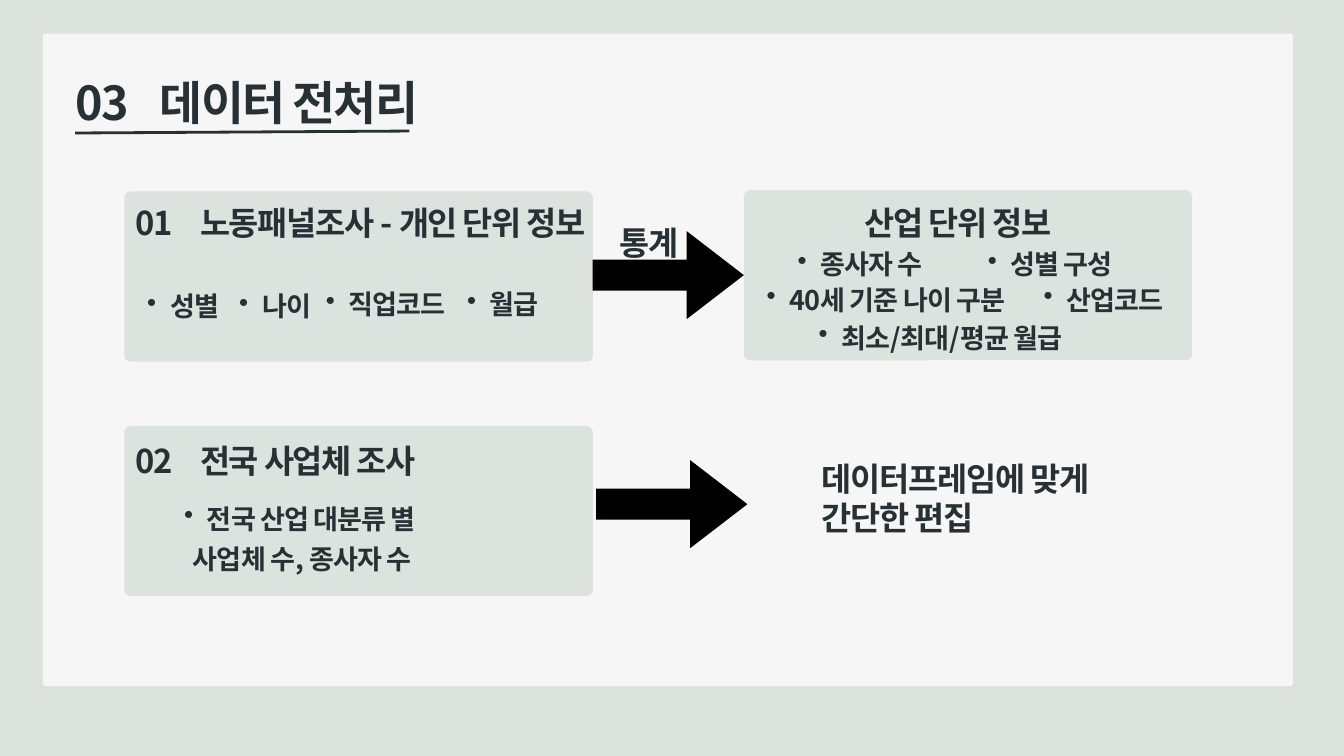
from lxml import etree
from pptx import Presentation
from pptx.dml.color import RGBColor
from pptx.enum import shapes, text
from pptx.oxml import ns
from pptx.util import Pt

COLORS = {"sage": "DCE2DE", "paper": "F6F6F6", "ink": "263035", "arrow": "000000"}
FONT = "Noto Sans CJK KR"
STYLES = {"title": (50, 59.5, -180), "heading": (35.1, 41.7, -130), "item": (29, 43.5, -100)}
BULLET_INDENT = 24.5

deck = Presentation()
deck.slide_width, deck.slide_height = Pt(1440), Pt(810)
slide = deck.slides.add_slide(deck.slide_layouts[6])
slide.background.fill.solid()
slide.background.fill.fore_color.rgb = RGBColor.from_string(COLORS["sage"])


def add_block(preset, left, top, width, height, color, adjustments):
    block = slide.shapes.add_shape(preset, Pt(left), Pt(top), Pt(width), Pt(height))
    block.shadow.inherit = False
    block.fill.solid()
    block.fill.fore_color.rgb = RGBColor.from_string(COLORS[color])
    block.line.fill.background()
    for index, value in enumerate(adjustments):
        block.adjustments[index] = value


def add_text(left, top, width, height, style, lines, bullet=False, tab=None, indent=0):
    size, spacing, tracking = STYLES[style]
    frame = slide.shapes.add_textbox(Pt(left), Pt(top), Pt(width), Pt(height)).text_frame
    frame.word_wrap = True
    frame.auto_size = text.MSO_AUTO_SIZE.SHAPE_TO_FIT_TEXT
    frame.margin_left = frame.margin_top = frame.margin_right = frame.margin_bottom = 0
    for index, line in enumerate(lines):
        paragraph = frame.paragraphs[0] if index == 0 else frame.add_paragraph()
        paragraph.text = line
        paragraph.line_spacing = Pt(spacing)
        properties = paragraph._p.get_or_add_pPr()
        if bullet and index == 0:
            paragraph.level = 1
            properties.set("marL", str(Pt(2 * BULLET_INDENT)))
            properties.set("indent", str(-Pt(BULLET_INDENT)))
            etree.SubElement(properties, ns.qn("a:buChar"), char="•")
        elif indent:
            properties.set("marL", str(Pt(indent)))
            properties.set("indent", "0")
        if tab:
            stops = etree.SubElement(properties, ns.qn("a:tabLst"))
            etree.SubElement(stops, ns.qn("a:tab"), pos=str(Pt(tab)), algn="l")
        font = paragraph.font
        font.name, font.size, font.bold = FONT, Pt(size), True
        font.color.rgb = RGBColor.from_string(COLORS["ink"])
        defaults = properties.find(ns.qn("a:defRPr"))
        defaults.set("spc", str(tracking))
        east_asian = etree.Element(ns.qn("a:ea"), typeface=FONT)
        defaults.find(ns.qn("a:latin")).addnext(east_asian)


rounded = shapes.MSO_SHAPE.ROUNDED_RECTANGLE
add_block(rounded, 46, 36, 1339.2, 699, "paper", [0.004])
for left, top, width in [(133.2, 205.2, 502), (797, 203.8, 480.4), (133.2, 456.5, 502)]:
    add_block(rounded, left, top, width, 182.2, "sage", [0.036])
for left, top in [(635, 247.6), (638.8, 493)]:
    add_block(shapes.MSO_SHAPE.RIGHT_ARROW, left, top, 162, 94.4, "arrow", [0.35, 0.65])

underline = slide.shapes.add_connector(
    shapes.MSO_CONNECTOR.STRAIGHT, Pt(438.5), Pt(140.4), Pt(80.6), Pt(142.5))
underline.line.width = Pt(3)
underline.line.color.rgb = RGBColor.from_string(COLORS["ink"])
etree.SubElement(underline._element.spPr, ns.qn("a:effectLst"))

add_text(80.6, 79.2, 652.3, 61.2, "title", ["03\t데이터 전처리"], tab=90.7)
for top, heading in [(218.2, "01\t노동패널조사 - 개인 단위 정보"), (472.3, "02\t전국 사업체 조사")]:
    add_text(145.4, top, 528.5, 43.2, "heading", [heading], tab=69)
for left, top, width, height, heading in [
    (663.8, 239, 76.3, 43.2, "통계"),
    (926.6, 218.2, 221, 43.2, "산업 단위 정보"),
    (880.6, 491.8, 314, 84.2, "데이터프레임에 맞게 간단한 편집"),
]:
    add_text(left, top, width, height, "heading", [heading])

for left, top, width, item in [
    (133.2, 301.7, 170.6, "성별"),
    (231.8, 301.7, 170.6, "나이"),
    (324.7, 299.5, 170.6, "직업코드"),
    (475.9, 299.5, 170.6, "월급"),
    (830.2, 256.3, 170.6, "종사자 수"),
    (1033.9, 256.3, 170.6, "성별 구성"),
    (797, 294.5, 284.4, "40세 기준 나이 구분"),
    (1093.7, 294.5, 170.6, "산업코드"),
    (852.5, 335.5, 391.7, "최소/최대/평균 월급"),
]:
    add_text(left, top, width, 42.5, "item", [item], bullet=True)
add_text(172.8, 529.2, 424, 85, "item",
         ["전국 산업 대분류 별", "사업체 수, 종사자 수"], bullet=True, indent=34)

deck.save("out.pptx")
